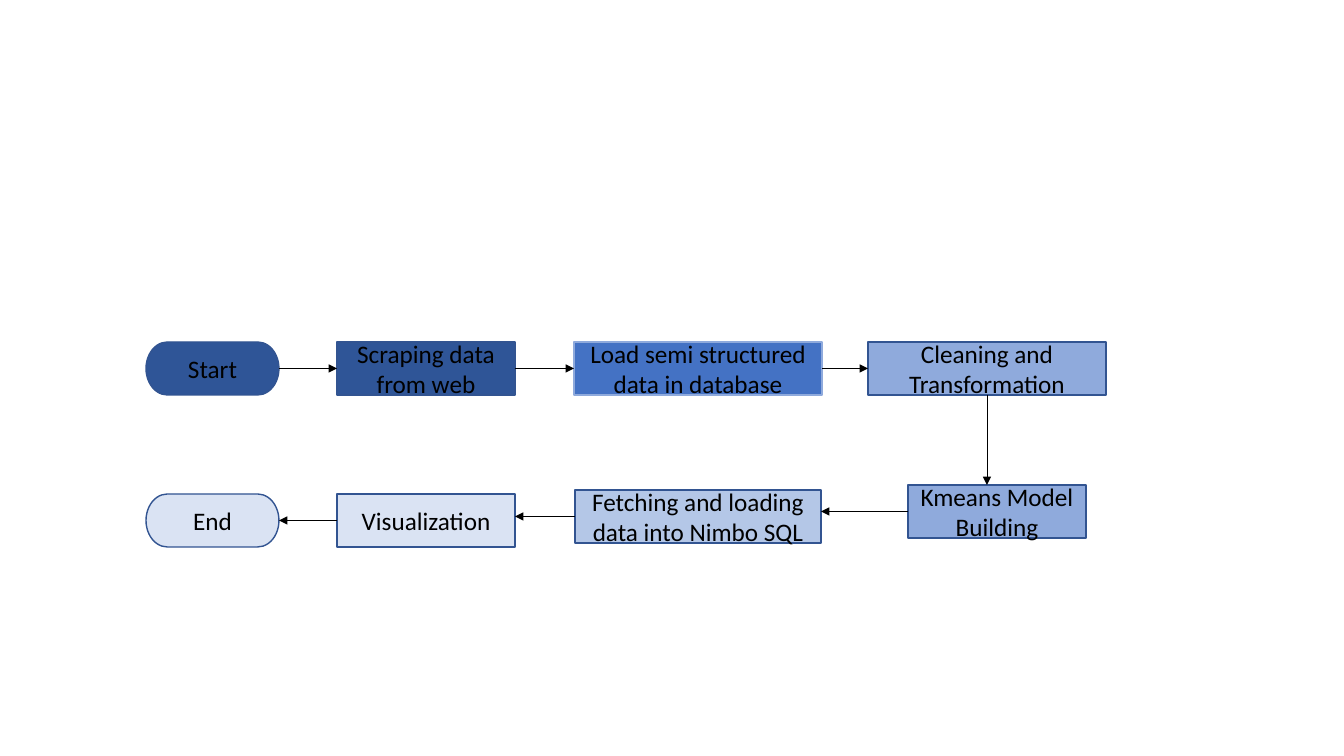
from itertools import pairwise
from pptx import Presentation
from pptx.dml.color import RGBColor
from pptx.enum.shapes import MSO_CONNECTOR as CONN, MSO_SHAPE as SHAPE
from pptx.enum.text import MSO_ANCHOR as ANCHOR, PP_ALIGN as ALIGN
from pptx.oxml.ns import qn
from pptx.util import Emu, Pt
from lxml.etree import SubElement

SCALE = 914400 / 100.8
STEP_H = 53
NAVY, BLUE, SKY, MIST, PALE = "2F5597", "4472C4", "8FAADC", "B4C7E7", "DAE3F3"
EDGE = "325491"
STEPS = [
    ("Start", 146, 342, 133, NAVY, EDGE, SHAPE.FLOWCHART_TERMINATOR),
    ("Scraping data from web", 337, 342, 178, NAVY, EDGE, SHAPE.RECTANGLE),
    ("Load semi structured data in database", 574, 342, 248, BLUE, SKY, SHAPE.RECTANGLE),
    ("Cleaning and Transformation", 868, 342, 238, SKY, EDGE, SHAPE.RECTANGLE),
    ("Kmeans Model Building", 908, 485, 178, SKY, EDGE, SHAPE.RECTANGLE),
    ("Fetching and loading data into Nimbo SQL", 575, 490, 246, MIST, EDGE, SHAPE.RECTANGLE),
    ("Visualization", 337, 494, 178, PALE, EDGE, SHAPE.RECTANGLE),
    ("End", 146, 494, 133, PALE, EDGE, SHAPE.FLOWCHART_TERMINATOR),
]


def px(n):
    return Emu(round(n * SCALE))


def rgb(value):
    return RGBColor.from_string(value)


def write(tf, text, size=18, color="000000", font="Calibri", align=ALIGN.CENTER):
    tf.word_wrap = True
    tf.vertical_anchor = ANCHOR.MIDDLE
    p = tf.paragraphs[0]
    p.alignment = align
    r = p.add_run()
    r.text = text
    r.font.size = Pt(size)
    r.font.name = font
    r.font.color.rgb = rgb(color)


def add_step(s, text, x, y, w, fill, line, kind):
    sp = s.shapes.add_shape(kind, px(x), px(y), px(w), px(STEP_H))
    sp.shadow.inherit = False
    sp.fill.solid()
    sp.fill.fore_color.rgb = rgb(fill)
    sp.line.color.rgb = rgb(line)
    sp.line.width = Pt(1)
    write(sp.text_frame, text)
    return sp


def add_arrow(s, x1, y1, x2, y2):
    c = s.shapes.add_connector(CONN.STRAIGHT, x1, y1, x2, y2)
    c.line.color.rgb = rgb("000000")
    c.line.width = Pt(0.5)
    SubElement(c.line._get_or_add_ln(), qn("a:tailEnd"), type="triangle")
    SubElement(c._element.spPr, qn("a:effectLst"))


def link(s, a, b):
    mid_x = a.left + a.width // 2
    mid_y = a.top + a.height // 2
    if b.left >= a.left + a.width:
        add_arrow(s, a.left + a.width, mid_y, b.left, mid_y)
    elif b.left + b.width <= a.left:
        add_arrow(s, a.left, mid_y, b.left + b.width, mid_y)
    else:
        add_arrow(s, mid_x, a.top + a.height, mid_x, b.top)


def main():
    prs = Presentation()
    prs.slide_width, prs.slide_height = px(1344), px(756)
    s = prs.slides.add_slide(prs.slide_layouts[6])
    steps = [add_step(s, *step) for step in STEPS]
    for a, b in pairwise(steps):
        link(s, a, b)
    prs.save("out.pptx")


main()
